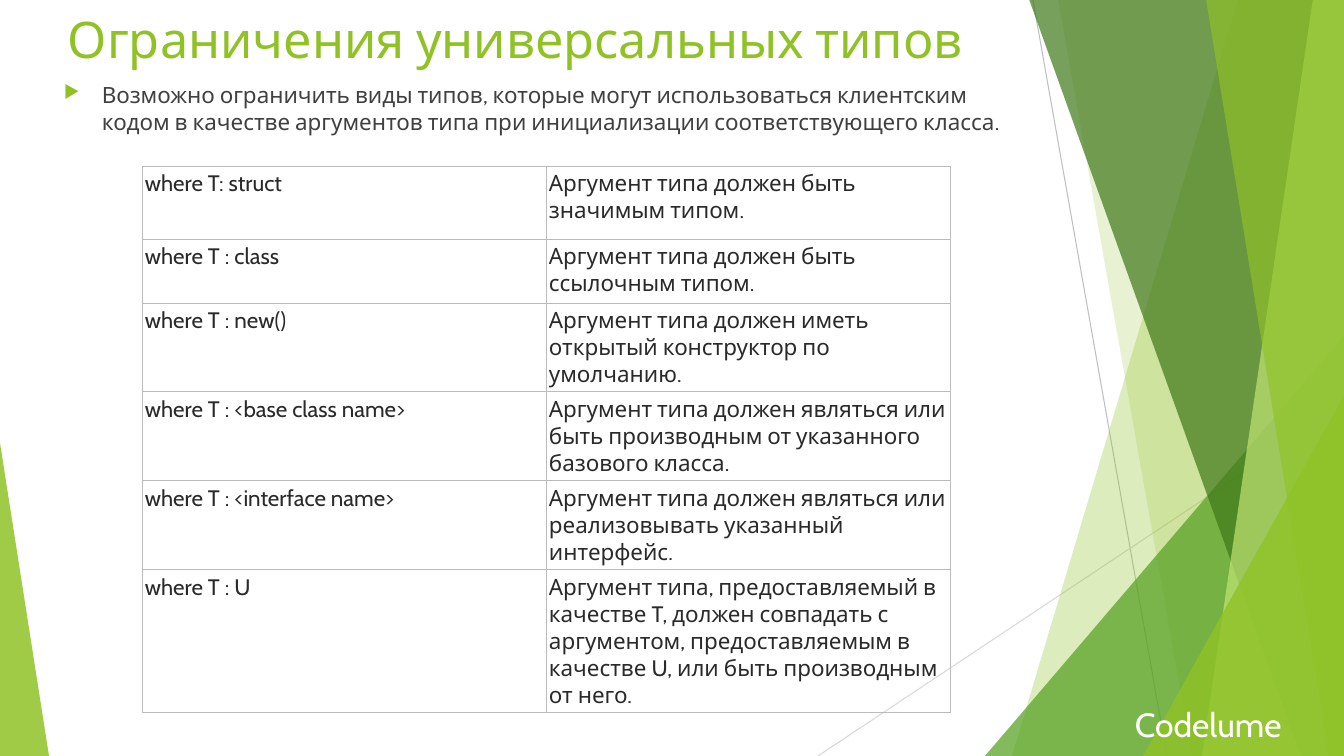
from lxml.etree import SubElement
from pptx import Presentation
from pptx.dml.color import RGBColor
from pptx.enum.shapes import MSO_CONNECTOR, MSO_SHAPE
from pptx.enum.text import MSO_ANCHOR, PP_ALIGN
from pptx.oxml import parse_xml
from pptx.oxml.ns import nsdecls, qn
from pptx.util import Pt

PX = 12192000 / 1344
WIDTH, HEIGHT = 1344, 756
FONT = "Cabin"
LIME = RGBColor(0x90, 0xC2, 0x26)
GREEN = RGBColor(0x54, 0xA0, 0x21)
DARK_GREEN = RGBColor(0x3F, 0x78, 0x19)
PALE_LIME = RGBColor(0xC0, 0xE4, 0x74)
GREY = RGBColor(0xBF, 0xBF, 0xBF)
LIGHT_GREY = RGBColor(0xD9, 0xD9, 0xD9)
BORDER = RGBColor(0xBB, 0xBB, 0xBB)
BODY_TEXT = RGBColor(0x40, 0x40, 0x40)
CELL_TEXT = RGBColor(0x2A, 0x2A, 0x2A)
WHITE = RGBColor(0xFF, 0xFF, 0xFF)


def px(*lengths):
    return [round(length * PX) for length in lengths]


def add_run(paragraph, text, size, color):
    run = paragraph.add_run()
    run.text = text
    run.font.name = FONT
    run.font.size = Pt(size)
    run.font.color.rgb = color


presentation = Presentation()
presentation.slide_width, presentation.slide_height = px(WIDTH, HEIGHT)
slide = presentation.slides.add_slide(presentation.slide_layouts[5])
shapes = slide.shapes

# Thin background lines
for ends, color in [((1033, 0, 1167, HEIGHT), GREY),
                    ((WIDTH, 406, 818, HEIGHT), LIGHT_GREY)]:
    connector = shapes.add_connector(MSO_CONNECTOR.STRAIGHT, *px(*ends))
    connector.line.color.rgb = color
    connector.line.width = Pt(0.75)
    SubElement(connector._element.spPr, qn("a:effectLst"))

# Translucent facets: bands give top and bottom x of the left edge,
# triangles give left, top, width, height and the apex position
facets = [
    ("band", (1238, 1012), LIME, 30),
    ("band", (1058, 1192), LIME, 20),
    ("triangle", (985, 336, 359, 420, 1), GREEN, 72),
    ("band", (1029, 1301), DARK_GREEN, 70),
    ("band", (1313, 1202), PALE_LIME, 70),
    ("band", (1206, 1329), LIME, 65),
    ("triangle", (1143, 396, 201, 360, 1), LIME, 80),
    ("triangle", (0, 443, 49, 313, 0), LIME, 85),
]
for kind, geometry, color, opacity in facets:
    if kind == "band":
        top_x, bottom_x = geometry
        builder = shapes.build_freeform(top_x, -1, scale=PX)
        builder.add_line_segments(
            [(WIDTH, -1), (WIDTH, HEIGHT), (bottom_x, HEIGHT)], close=True)
        facet = builder.convert_to_shape()
    else:
        *box, apex = geometry
        facet = shapes.add_shape(MSO_SHAPE.ISOSCELES_TRIANGLE, *px(*box))
        facet.adjustments[0] = apex
    facet.shadow.inherit = False
    facet.line.fill.background()
    facet.fill.solid()
    facet.fill.fore_color.rgb = color
    color_element = facet._element.spPr.find(qn("a:solidFill"))[0]
    SubElement(color_element, qn("a:alpha"), val=str(opacity * 1000))

# Title
title = shapes.title
title.left, title.top, title.width, title.height = px(0, 0, 1031, 76)
title.text_frame.vertical_anchor = MSO_ANCHOR.MIDDLE
paragraph = title.text_frame.paragraphs[0]
paragraph.alignment = PP_ALIGN.CENTER
add_run(paragraph, "Ограничения универсальных типов", 36, LIME)

# Bulleted introduction and brand name
texts = [
    ((54, 76, 995, 680), "Возможно ограничить виды типов, которые могут использоваться "
     "клиентским кодом в качестве аргументов типа при инициализации "
     "соответствующего класса.", 16, BODY_TEXT, True),
    ((1125, 699, 173, 57), "Codelume", 24, WHITE, False),
]
for box, text, size, color, bulleted in texts:
    text_box = shapes.add_textbox(*px(*box))
    text_box.text_frame.word_wrap = True
    paragraph = text_box.text_frame.paragraphs[0]
    paragraph.space_before = Pt(10)
    add_run(paragraph, text, size, color)
    if bulleted:
        properties = paragraph._p.get_or_add_pPr()
        indent = px(38)[0]
        properties.set("marL", str(indent))
        properties.set("indent", str(-indent))
        bullet_color = SubElement(properties, qn("a:buClr"))
        SubElement(bullet_color, qn("a:srgbClr"), val=str(LIME))
        SubElement(properties, qn("a:buSzPct"), val="80000")
        SubElement(properties, qn("a:buChar"), char="▶")

# Table of constraints
constraints = [
    (73, "where T: struct", "Аргумент типа должен быть значимым типом."),
    (64, "where T : class", "Аргумент типа должен быть ссылочным типом."),
    (89, "where T : new()",
     "Аргумент типа должен иметь открытый конструктор по умолчанию."),
    (89, "where T : <base class name>",
     "Аргумент типа должен являться или быть производным от указанного базового класса."),
    (89, "where T : <interface name>",
     "Аргумент типа должен являться или реализовывать указанный интерфейс."),
    (143, "where T : U",
     "Аргумент типа, предоставляемый в качестве T, должен совпадать с аргументом, "
     "предоставляемым в качестве U, или быть производным от него."),
]
table_height = sum(height for height, *_ in constraints)
table = shapes.add_table(len(constraints), 2, *px(142, 166, 808, table_height)).table
table.first_row = table.horz_banding = False
for column in table.columns:
    column.width = px(404)[0]
for row, (height, *cell_texts) in zip(table.rows, constraints):
    row.height = px(height)[0]
    for cell, text in zip(row.cells, cell_texts):
        cell.margin_left, cell.margin_right = px(3, 3)
        cell.margin_top, cell.margin_bottom = px(4, 4)
        add_run(cell.text_frame.paragraphs[0], text, 16, CELL_TEXT)
        cell_properties = cell._tc.get_or_add_tcPr()
        for side in "LRTB":
            cell_properties.append(parse_xml(
                f'<a:ln{side} {nsdecls("a")} w="{Pt(0.75)}"><a:solidFill>'
                f'<a:srgbClr val="{BORDER}"/></a:solidFill></a:ln{side}>'))
        cell.fill.background()

presentation.save("out.pptx")
